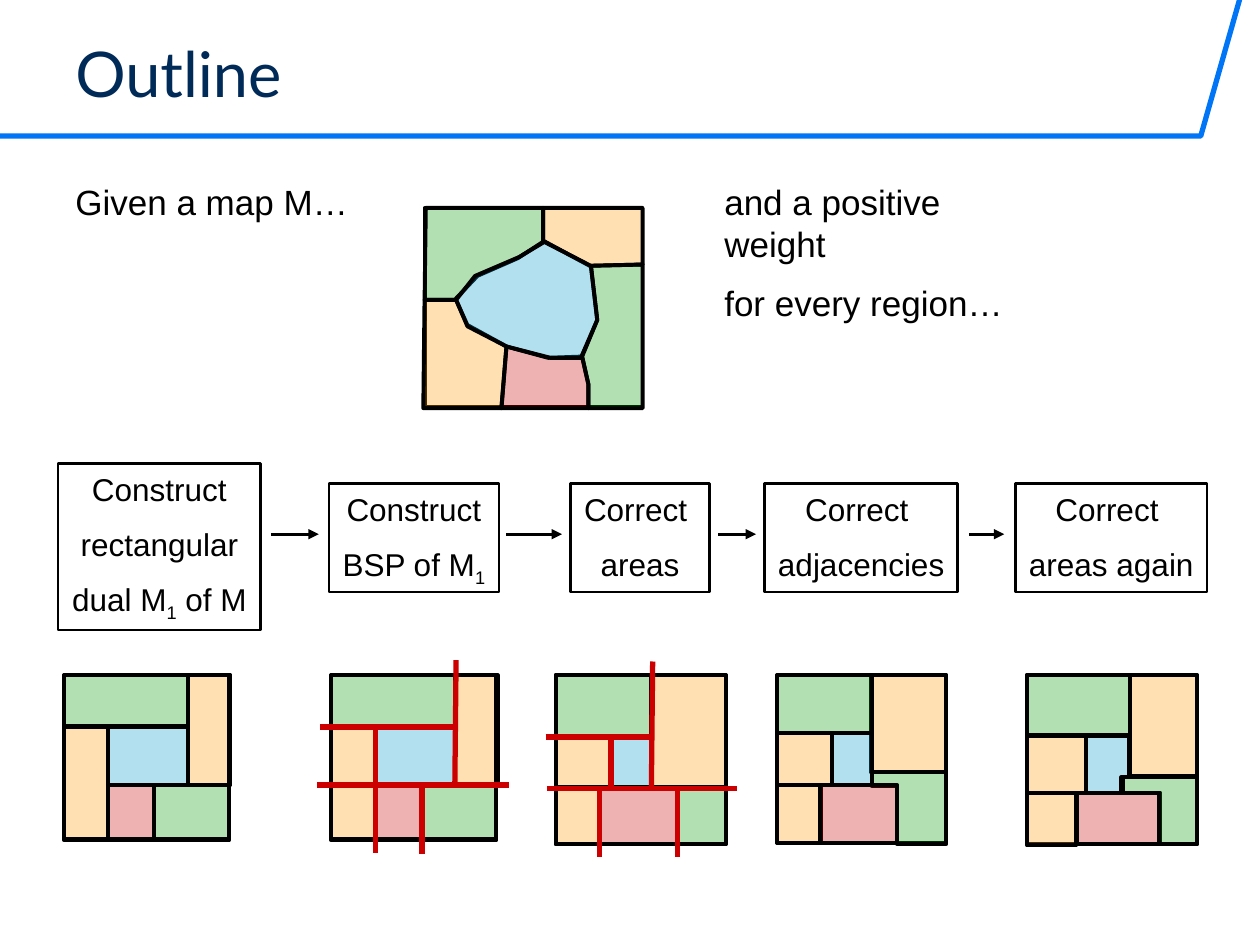
from lxml import etree
from pptx import Presentation
from pptx import util as u
from pptx.dml.color import RGBColor
from pptx.enum import shapes, text
from pptx.oxml import ns

PX = 9144

theme = {
    "font": "Arial", "title_font": "Lato",
    "title_size": 36, "body_size": 20, "step_size": 18, "gap": 10,
    "title": "002A58", "accent": "0075F6", "ink": "000000", "paper": "FFFFFF",
    "green": "009900", "orange": "FF9900", "red": "CC0000", "blue": "0099CC",
    "header_line": 3, "map_line": 2.25, "step_line": 1.5, "cut_line": 3,
    "map_opacity": 30, "step_opacity": 50,
}


def paint(shape, line, width, fill=None, opacity=100):
    shape.shadow.inherit = False
    shape.line.color.rgb = RGBColor.from_string(theme[line])
    shape.line.width = u.Pt(width)
    if fill is None:
        shape.fill.background()
        return
    shape.fill.solid()
    shape.fill.fore_color.rgb = RGBColor.from_string(theme[fill])
    color = shape._element.spPr.find(ns.qn("a:solidFill"))[0]
    etree.SubElement(color, ns.qn("a:alpha"), val=str(opacity * 1000))


def write(shape, paragraphs, size, color="ink", font="font", align=text.PP_ALIGN.LEFT,
          anchor=text.MSO_ANCHOR.TOP, wrap=True):
    frame = shape.text_frame
    frame.word_wrap = wrap
    frame.vertical_anchor = anchor
    for index, runs in enumerate(paragraphs):
        paragraph = frame.paragraphs[0] if index == 0 else frame.add_paragraph()
        paragraph.alignment = align
        paragraph.space_before = u.Pt(theme["gap"] if index else 0)
        for position, content in enumerate(runs):
            run = paragraph.add_run()
            run.text = content
            run.font.name = theme[font]
            run.font.size = u.Pt(theme[size])
            run.font.color.rgb = RGBColor.from_string(theme[color])
            if position == 1:
                run._r.get_or_add_rPr().set("baseline", "-25000")


presentation = Presentation()
presentation.slide_width = 1000 * PX
presentation.slide_height = 750 * PX
slide = presentation.slides.add_slide(presentation.slide_layouts[6])

builder = slide.shapes.build_freeform(0, 108, scale=PX)
builder.add_line_segments([(953, 108), (984, -1)], close=False)
header = builder.convert_to_shape()
paint(header, "accent", theme["header_line"])
etree.SubElement(header._element.spPr.find(ns.qn("a:ln")), ns.qn("a:round"))

title = slide.shapes.add_textbox(50 * PX, 21 * PX, 928 * PX, 71 * PX)
write(title, [["Outline"]], "title_size", "title", "title_font", anchor=text.MSO_ANCHOR.BOTTOM)
for left, width, height, paragraphs in [
    (50, 273, 49, [["Given a map M…"]]),
    (565, 275, 77, [["and a positive weight"], ["for every region…"]]),
]:
    box = slide.shapes.add_textbox(left * PX, 138 * PX, width * PX, height * PX)
    write(box, paragraphs, "body_size")

steps = [
    (46, 368, 161, 132, [["Construct"], ["rectangular"], ["dual M", "1", " of M"]]),
    (261, 384, 135, 86, [["Construct"], ["BSP of M", "1"]]),
    (453, 384, 110, 86, [["Correct "], ["areas"]]),
    (607, 384, 153, 86, [["Correct "], ["adjacencies"]]),
    (806, 384, 152, 86, [["Correct "], ["areas again"]]),
]
for left, top, width, height, paragraphs in steps:
    box = slide.shapes.add_shape(
        shapes.MSO_SHAPE.RECTANGLE, left * PX, top * PX, width * PX, height * PX)
    paint(box, "ink", theme["step_line"], "paper", theme["step_opacity"])
    write(box, paragraphs, "step_size", align=text.PP_ALIGN.CENTER, wrap=False)

dual_map = [
    ("green", (71, 87, 60, 44)), ("green", (0, 0, 98, 40)), ("orange", (98, 0, 34, 87)),
    ("red", (35, 87, 36, 44)), ("orange", (0, 41, 35, 90)), ("blue", (35, 41, 63, 46)),
    (None, (0, 0, 131, 130)),
]
input_map = [
    (None, (0, 0, 173, 158)),
    ("green", [(1, 0), (94, 0), (94, 27), (74, 40), (42, 54), (24, 73), (0, 73)]),
    ("orange", [(94, 0), (173, 0), (173, 45), (131, 46), (94, 26)]),
    ("green", [(173, 45), (173, 159), (130, 159), (130, 140), (125, 118), (137, 89), (132, 46)]),
    ("orange", [(0, 73), (25, 73), (34, 93), (65, 110), (61, 159), (-1, 159)]),
    ("red", [(65, 110), (98, 119), (125, 118), (130, 140), (130, 159), (61, 159)]),
    ("blue", [(25, 73), (40, 54), (75, 39), (95, 27), (132, 46), (137, 89),
              (124, 119), (100, 119), (65, 110), (34, 94)]),
]
area_map = [
    (None, (0, 0, 135, 134)), ("green", (0, 0, 76, 48)), ("orange", (76, 0, 59, 89)),
    ("red", (35, 89, 62, 45)), ("green", (97, 89, 38, 45)), ("blue", (44, 49, 32, 40)),
    ("orange", (0, 89, 35, 45)), ("orange", (0, 49, 43, 40)),
]
adjacency_map = [
    (None, (0, 0, 134, 133)), ("orange", (74, 0, 60, 77)), ("blue", (43, 46, 32, 41)),
    ("orange", (0, 87, 35, 46)), ("orange", (0, 46, 43, 41)),
    ("green", [(134, 134), (134, 77), (75, 77), (75, 88), (95, 88), (95, 134)]),
    ("green", (0, 0, 75, 46)), ("red", (34, 87, 61, 46)),
]
final_map = [
    (None, (0, 0, 135, 134)), ("green", (0, 0, 82, 47)), ("orange", (82, 0, 53, 80)),
    ("red", (40, 93, 66, 41)), ("orange", (0, 93, 39, 42)), ("orange", (0, 48, 47, 45)),
    ("green", [(135, 134), (135, 81), (76, 81), (76, 93), (105, 93), (105, 134)]),
    ("blue", [(47, 48), (81, 48), (81, 81), (75, 81), (75, 93), (47, 93)]),
]
maps = [(337, 165, input_map), (51, 536, dual_map), (263, 536, dual_map),
        (441, 536, area_map), (617, 536, adjacency_map), (815, 536, final_map)]
for left, top, regions in maps:
    group = slide.shapes.add_group_shape()
    for color, outline in regions:
        if isinstance(outline, tuple):
            x, y, width, height = outline
            region = group.shapes.add_shape(
                shapes.MSO_SHAPE.RECTANGLE, (left + x) * PX, (top + y) * PX,
                width * PX, height * PX)
        else:
            points = [(left + x, top + y) for x, y in outline]
            builder = group.shapes.build_freeform(*points[0], scale=PX)
            builder.add_line_segments(points[1:], close=True)
            region = builder.convert_to_shape()
        paint(region, "ink", theme["map_line"], color, theme["map_opacity"])

arrows = [(start, 424, end, 424) for start, end in
          [(215, 253), (402, 446), (570, 600), (769, 797)]]
bsp_cuts = [(252, 623, 404, 623), (362, 524, 361, 623), (298, 623, 298, 677),
            (335, 624, 335, 678), (254, 577, 362, 577), (298, 576, 298, 625)]
area_cuts = [(518, 525, 517, 626), (433, 585, 517, 585), (485, 586, 485, 624),
             (434, 626, 585, 626), (476, 626, 476, 680), (538, 625, 538, 680)]
for lines, color, width in [(arrows, "ink", "step_line"), (bsp_cuts, "red", "cut_line"),
                            (area_cuts, "red", "cut_line")]:
    group = slide.shapes.add_group_shape()
    for ends in lines:
        connector = group.shapes.add_connector(
            shapes.MSO_CONNECTOR.STRAIGHT, *[value * PX for value in ends])
        connector.line.color.rgb = RGBColor.from_string(theme[color])
        connector.line.width = u.Pt(theme[width])
        properties = connector._element.spPr
        if lines is arrows:
            etree.SubElement(properties.find(ns.qn("a:ln")), ns.qn("a:tailEnd"), type="triangle")
        etree.SubElement(properties, ns.qn("a:effectLst"))

presentation.save("out.pptx")
